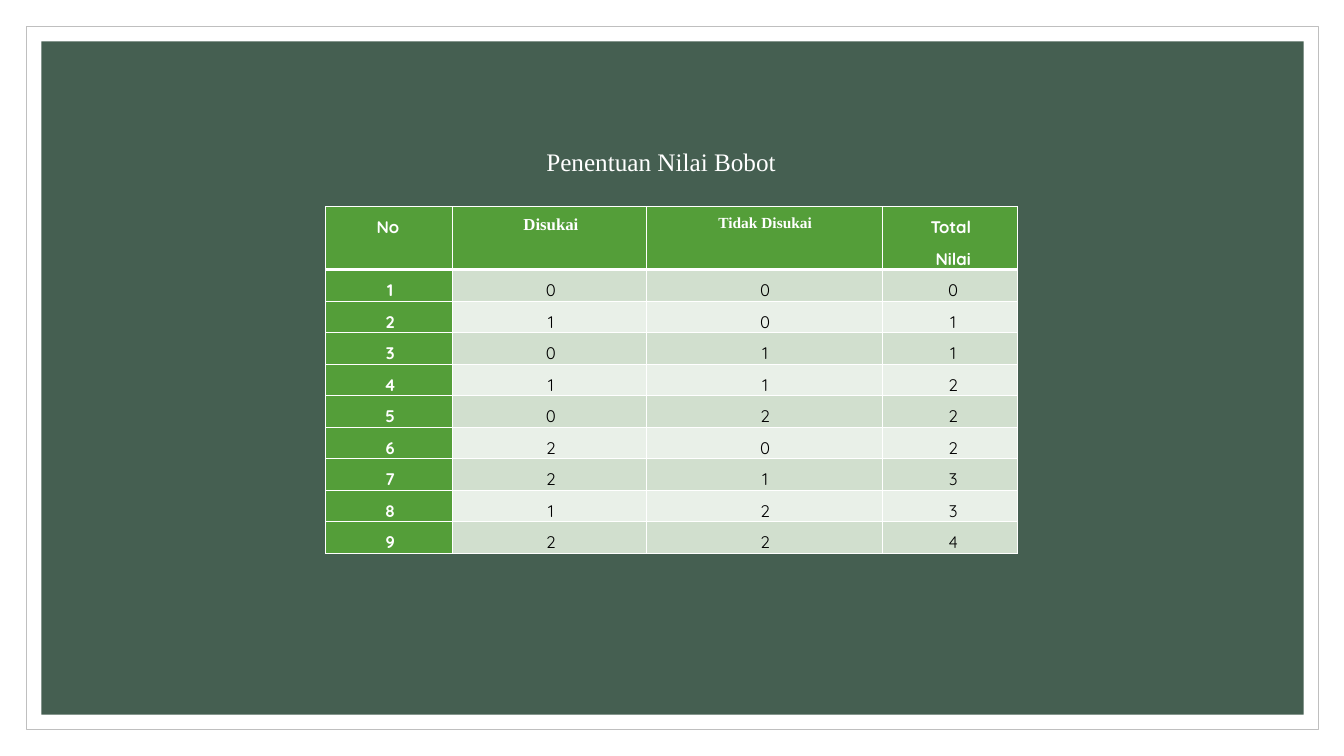
"""Build the slide "Penentuan Nilai Bobot" with its table of weights."""
from lxml.etree import SubElement
from pptx import Presentation
from pptx.dml.color import RGBColor
from pptx.enum.shapes import MSO_SHAPE
from pptx.enum.text import PP_ALIGN
from pptx.oxml.ns import qn
from pptx.util import Inches, Pt

TITLE = "Penentuan Nilai Bobot"
HEADER = [
    (["No "], "Quicksand", 12),
    (["Disukai"], "Times New Roman", 12),
    (["Tidak Disukai"], "Times New Roman", 11),
    (["Total ", "Nilai"], "Quicksand", 12),
]
SCORES = [(0, 0), (1, 0), (0, 1), (1, 1), (0, 2), (2, 0), (2, 1), (1, 2), (2, 2)]
COL_WIDTHS = [1.26, 1.92, 2.34, 1.34]
INDENTS = [0.02, 0.03, 0.02, 0.07]
HEADER_HEIGHT, ROW_HEIGHT = 0.62, 0.31
WHITE, BLACK, GREEN = "FFFFFF", "000000", "549E39"
BANDS = ["D1DFCE", "E9F0E8"]
FRAMES = [
    ((0.26, 0.26, 12.82, 6.98), WHITE, "BFBFBF"),
    ((0.41, 0.41, 12.52, 6.68), "455F51", None),
]


def paint(target, color):
    target.solid()
    target.fore_color.rgb = RGBColor.from_string(color)


def add_frame(s, box, fill, line):
    sp = s.shapes.add_shape(MSO_SHAPE.RECTANGLE, *map(Inches, box))
    sp.shadow.inherit = False
    paint(sp.fill, fill)
    if line:
        paint(sp.line.fill, line)
        sp.line.width = Pt(0.5)
    else:
        sp.line.fill.background()


def add_run(p, text, font, size, color, bold=False):
    r = p.add_run()
    r.text = text
    r.font.name, r.font.size, r.font.bold = font, Pt(size), bold
    paint(r.font.fill, color)


def set_borders(cell, top, bottom):
    tc_pr = cell._tc.get_or_add_tcPr()
    for i, (side, width) in enumerate([("L", 1), ("R", 1), ("T", top), ("B", bottom)]):
        ln = SubElement(tc_pr, qn(f"a:ln{side}"), w=str(Pt(width)))
        fill = SubElement(ln, qn("a:solidFill"))
        SubElement(fill, qn("a:srgbClr"), val=WHITE)
        tc_pr.insert(i, ln)


def fill_cell(cell, lines, font, size, color, bold, fill, indent):
    cell.margin_left = cell.margin_right = Inches(0.07)
    cell.margin_top = cell.margin_bottom = 0
    paint(cell.fill, fill)
    tf = cell.text_frame
    for i, line in enumerate(lines):
        p = tf.add_paragraph() if i else tf.paragraphs[0]
        p.alignment = PP_ALIGN.CENTER
        p.line_spacing = 1.5
        p._p.get_or_add_pPr().set("marL", str(Inches(indent)))
        add_run(p, line, font, size, color, bold)


def add_weights(s):
    rows = len(SCORES) + 1
    height = HEADER_HEIGHT + ROW_HEIGHT * len(SCORES)
    box = map(Inches, (3.23, 2.05, sum(COL_WIDTHS), height))
    table = s.shapes.add_table(rows, len(COL_WIDTHS), *box).table
    for col, width in zip(table.columns, COL_WIDTHS):
        col.width = Inches(width)
    for i, row in enumerate(table.rows):
        row.height = Inches(ROW_HEIGHT if i else HEADER_HEIGHT)
    for c, (lines, font, size) in enumerate(HEADER):
        cell = table.cell(0, c)
        fill_cell(cell, lines, font, size, WHITE, True, GREEN, INDENTS[c])
        set_borders(cell, 1, 3)
    for n, (liked, disliked) in enumerate(SCORES, 1):
        for c, value in enumerate((n, liked, disliked, liked + disliked)):
            cell = table.cell(n, c)
            first = c == 0
            fill_cell(cell, [str(value)], "Quicksand", 12, WHITE if first else BLACK,
                      first, GREEN if first else BANDS[(n - 1) % 2], INDENTS[c])
            set_borders(cell, 3 if n == 1 else 1, 1)


def main():
    prs = Presentation()
    prs.slide_width, prs.slide_height = Inches(13.33), Inches(7.5)
    s = prs.slides.add_slide(prs.slide_layouts[6])
    for frame in FRAMES:
        add_frame(s, *frame)
    add_weights(s)
    tf = s.shapes.add_textbox(*map(Inches, (5.32, 1.4, 2.5, 0.4))).text_frame
    tf.word_wrap = False
    add_run(tf.paragraphs[0], TITLE, "Times New Roman", 18, WHITE)
    prs.save("out.pptx")


if __name__ == "__main__":
    main()
